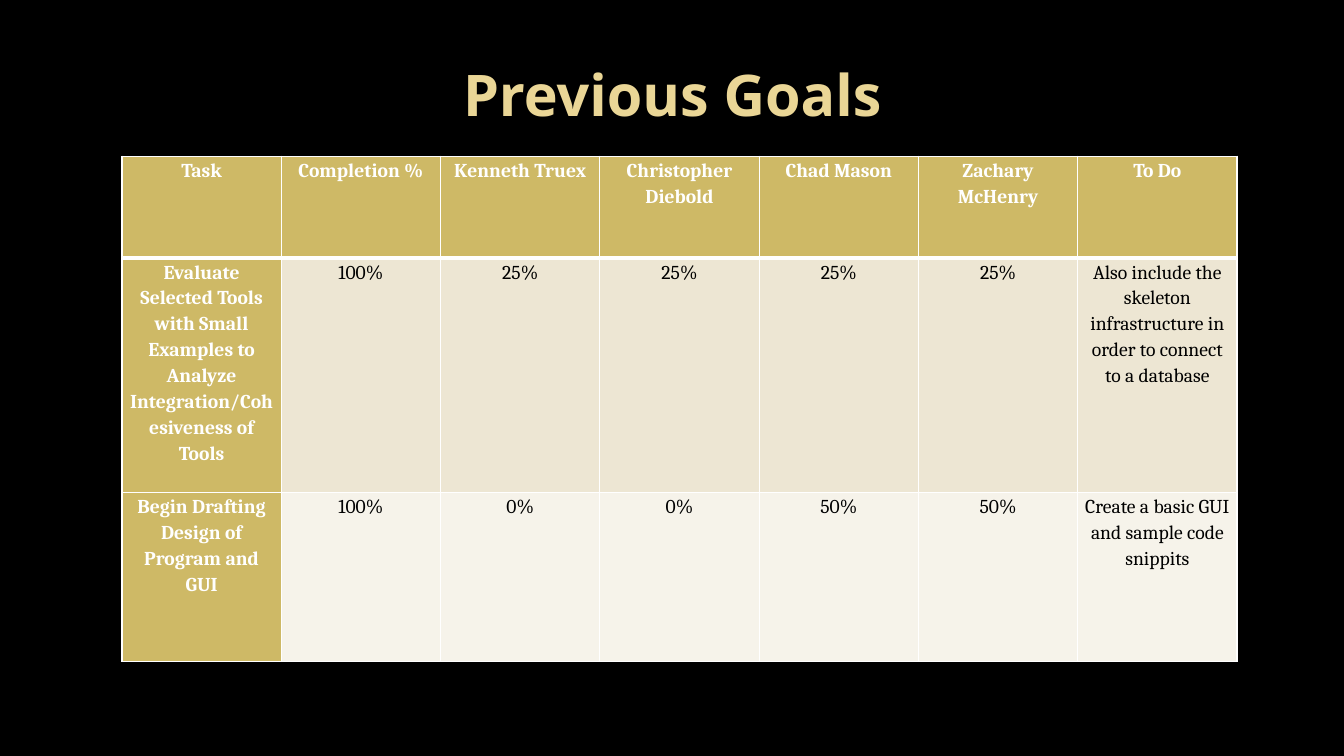
from lxml.etree import SubElement
from pptx import Presentation
from pptx.dml.color import RGBColor
from pptx.enum.text import MSO_ANCHOR, PP_ALIGN
from pptx.oxml.ns import qn
from pptx.util import Inches, Pt

GOLD, WHITE, BLACK = "CEB966", "FFFFFF", "000000"
BODY_FILLS = ["EDE6D3", "F6F3EA"]
COLUMN_WIDTH = 1.58
ROW_HEIGHTS = [1.01, 2.33, 1.67]
GOALS = [
    ["Task", "Completion %", "Kenneth Truex", "Christopher Diebold",
     "Chad Mason", "Zachary McHenry", "To Do"],
    ["Evaluate Selected Tools with Small Examples to Analyze "
     "Integration/Cohesiveness of Tools",
     "100%", "25%", "25%", "25%", "25%",
     "Also include the skeleton infrastructure in order to connect to a database"],
    ["Begin Drafting Design of Program and GUI",
     "100%", "0%", "0%", "50%", "50%",
     "Create a basic GUI and sample code snippits"],
]


def write(frame, text, *, font, size, color, bold=False, spacing=1.0):
    frame.word_wrap = True
    paragraph = frame.paragraphs[0]
    paragraph.alignment = PP_ALIGN.CENTER
    paragraph.line_spacing = spacing
    run = paragraph.add_run()
    run.text = text
    run.font.name = font
    run.font.size = Pt(size)
    run.font.bold = bold
    run.font.color.rgb = RGBColor.from_string(color)


def add_borders(cell, widths):
    """Draw white cell edges; widths are points for left, right, top, bottom."""
    properties = cell._tc.get_or_add_tcPr()
    for position, (side, width) in enumerate(zip("LRTB", widths)):
        edge = SubElement(properties, qn(f"a:ln{side}"), w=str(Pt(width)))
        fill = SubElement(edge, qn("a:solidFill"))
        SubElement(fill, qn("a:srgbClr"), val=WHITE)
        properties.insert(position, edge)


deck = Presentation()
deck.slide_width, deck.slide_height = Inches(13.33), Inches(7.5)
slide = deck.slides.add_slide(deck.slide_layouts[6])
slide.background.fill.solid()
slide.background.fill.fore_color.rgb = RGBColor.from_string(BLACK)

title = slide.shapes.add_textbox(
    Inches(0.67), Inches(0.3), Inches(12), Inches(1.25)).text_frame
title.vertical_anchor = MSO_ANCHOR.MIDDLE
write(title, "Previous Goals", font="Open Sans", size=41, color="EAD696", bold=True)

goals_table = slide.shapes.add_table(
    len(GOALS), len(GOALS[0]), Inches(1.21), Inches(1.55),
    Inches(COLUMN_WIDTH * len(GOALS[0])), Inches(sum(ROW_HEIGHTS))).table
for column in goals_table.columns:
    column.width = Inches(COLUMN_WIDTH)

for r, (goal, height) in enumerate(zip(GOALS, ROW_HEIGHTS)):
    goals_table.rows[r].height = Inches(height)
    for c, text in enumerate(goal):
        cell = goals_table.cell(r, c)
        heading = r == 0 or c == 0
        cell.margin_left = cell.margin_right = Inches(0.07)
        cell.margin_top = cell.margin_bottom = 0
        cell.fill.solid()
        cell.fill.fore_color.rgb = RGBColor.from_string(
            GOLD if heading else BODY_FILLS[r - 1])
        add_borders(cell, [1, 1, 3 if r == 1 else 1, 3 if r == 0 else 1])
        write(cell.text_frame, text, font="Cambria", size=14, bold=heading,
              color=WHITE if heading else BLACK, spacing=1.15)

deck.save("out.pptx")
